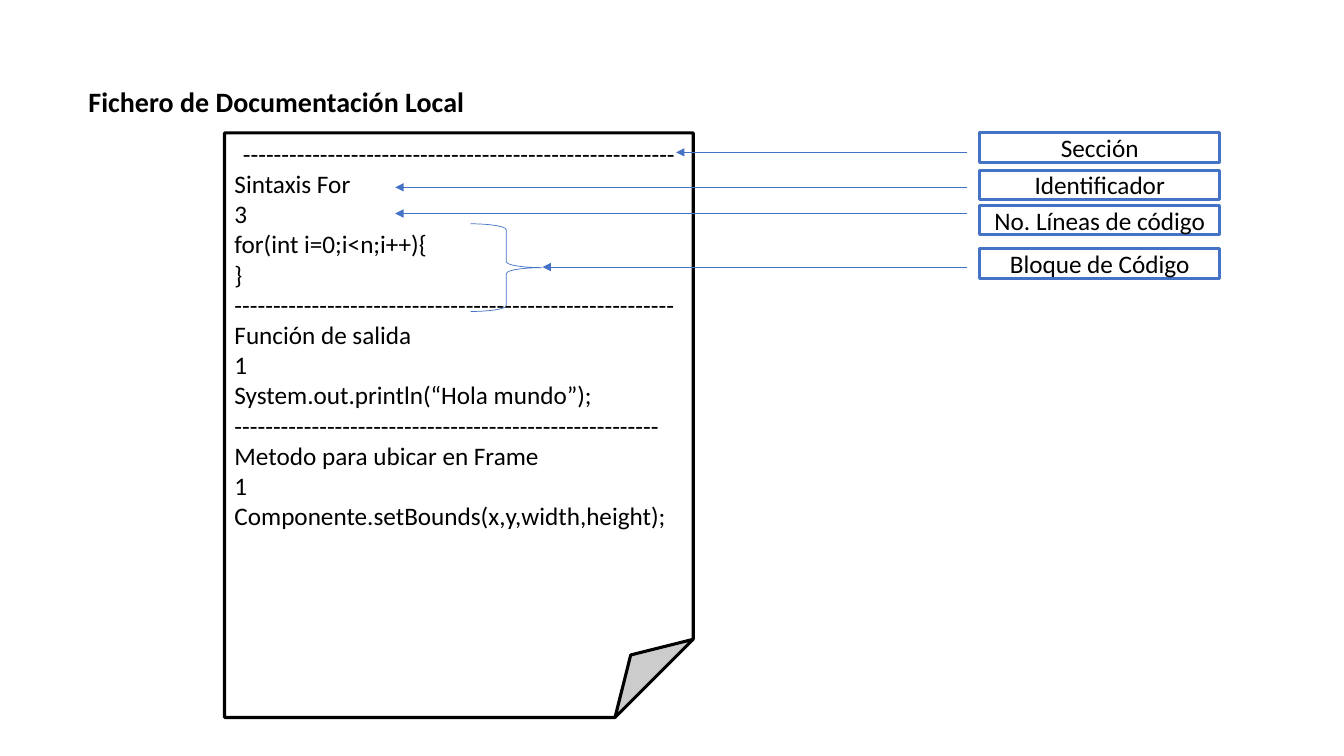
from dataclasses import dataclass

import pptx
import pptx.dml.color
import pptx.enum.shapes
import pptx.enum.text
import pptx.oxml
import pptx.oxml.ns
import pptx.util

Cm = pptx.util.Cm
Pt = pptx.util.Pt
SHAPE = pptx.enum.shapes.MSO_SHAPE
ALIGN = pptx.enum.text.PP_ALIGN
ANCHOR = pptx.enum.text.MSO_ANCHOR

COLORS = {"black": "000000", "white": "FFFFFF", "blue": "4472C4"}
FONT = "Calibri"


@dataclass
class Label:
    """A label box and the arrow that leads from it into the page."""
    text: str
    top: float
    arrow_y: float
    arrow_end: float


LABELS = [
    Label("Sección", 3.35, 3.84, 17.04),
    Label("Identificador", 4.29, 4.72, 9.96),
    Label("No. Líneas de código", 5.18, 5.38, 9.96),
    Label("Bloque de Código", 6.27, 6.73, 13.67),
]
LABEL_LEFT, LABEL_WIDTH, LABEL_HEIGHT = 24.69, 6.05, 0.74
ARROW_START = 24.38

PAGE_LINES = [
    "-" * 56,
    "Sintaxis For",
    "3",
    "for(int i=0;i<n;i++){",
    "}",
    "-" * 57,
    "Función de salida",
    "1",
    "System.out.println(“Hola mundo”);",
    "-" * 55,
    "Metodo para ubicar en Frame",
    "1",
    "Componente.setBounds(x,y,width,height);",
]


def rgb(name: str) -> pptx.dml.color.RGBColor:
    return pptx.dml.color.RGBColor.from_string(COLORS[name])


def write_lines(tf, lines: list[str], size: float = 18, bold: bool = False,
                align=ALIGN.LEFT) -> None:
    tf.word_wrap = True
    for i, line in enumerate(lines):
        p = tf.paragraphs[0] if i == 0 else tf.add_paragraph()
        p.alignment = align
        r = p.add_run()
        r.text = line
        r.font.name = FONT
        r.font.size = Pt(size)
        r.font.bold = bold
        r.font.color.rgb = rgb("black")


def add_box(s, kind, left: float, top: float, width: float, height: float,
            line: str, weight: float, filled: bool = True):
    sp = s.shapes.add_shape(kind, Cm(left), Cm(top), Cm(width), Cm(height))
    sp.shadow.inherit = False
    if filled:
        sp.fill.solid()
        sp.fill.fore_color.rgb = rgb("white")
    else:
        sp.fill.background()
    sp.line.color.rgb = rgb(line)
    sp.line.width = Pt(weight)
    return sp


def add_arrow(s, label: Label) -> None:
    c = s.shapes.add_connector(
        pptx.enum.shapes.MSO_CONNECTOR.STRAIGHT,
        Cm(ARROW_START), Cm(label.arrow_y), Cm(label.arrow_end), Cm(label.arrow_y))
    c.line.color.rgb = rgb("blue")
    c.line.width = Pt(0.5)
    ln = c.line._get_or_add_ln()
    ln.append(pptx.oxml.parse_xml(
        f'<a:tailEnd {pptx.oxml.ns.nsdecls("a")} type="triangle"/>'))
    c._element.spPr.append(pptx.oxml.parse_xml(
        f'<a:effectLst {pptx.oxml.ns.nsdecls("a")}/>'))


def add_label(s, label: Label) -> None:
    sp = add_box(s, SHAPE.RECTANGLE, LABEL_LEFT, label.top,
                 LABEL_WIDTH, LABEL_HEIGHT, "blue", 2.25)
    sp.text_frame.vertical_anchor = ANCHOR.MIDDLE
    write_lines(sp.text_frame, [label.text], align=ALIGN.CENTER)


def main() -> None:
    prs = pptx.Presentation()
    prs.slide_width, prs.slide_height = Cm(33.87), Cm(19.05)
    s = prs.slides.add_slide(prs.slide_layouts[6])

    # Title
    title = s.shapes.add_textbox(Cm(1.98), Cm(2.01), Cm(14.2), Cm(1.12))
    write_lines(title.text_frame, ["Fichero de Documentación Local"], 20, True)

    # Page with the documented code; its first rule is centred
    page = add_box(s, SHAPE.FOLDED_CORNER, 5.66, 3.35, 11.81, 14.73, "black", 2.25)
    tf = page.text_frame
    tf.vertical_anchor = ANCHOR.TOP
    write_lines(tf, PAGE_LINES)
    tf.paragraphs[0].alignment = ALIGN.CENTER

    # Brace around the code block
    add_box(s, SHAPE.RIGHT_BRACE, 11.86, 5.64, 1.8, 2.21, "blue", 0.5, filled=False)

    # Labels and their arrows
    for label in LABELS:
        add_arrow(s, label)
        add_label(s, label)

    prs.save("out.pptx")


if __name__ == "__main__":
    main()
